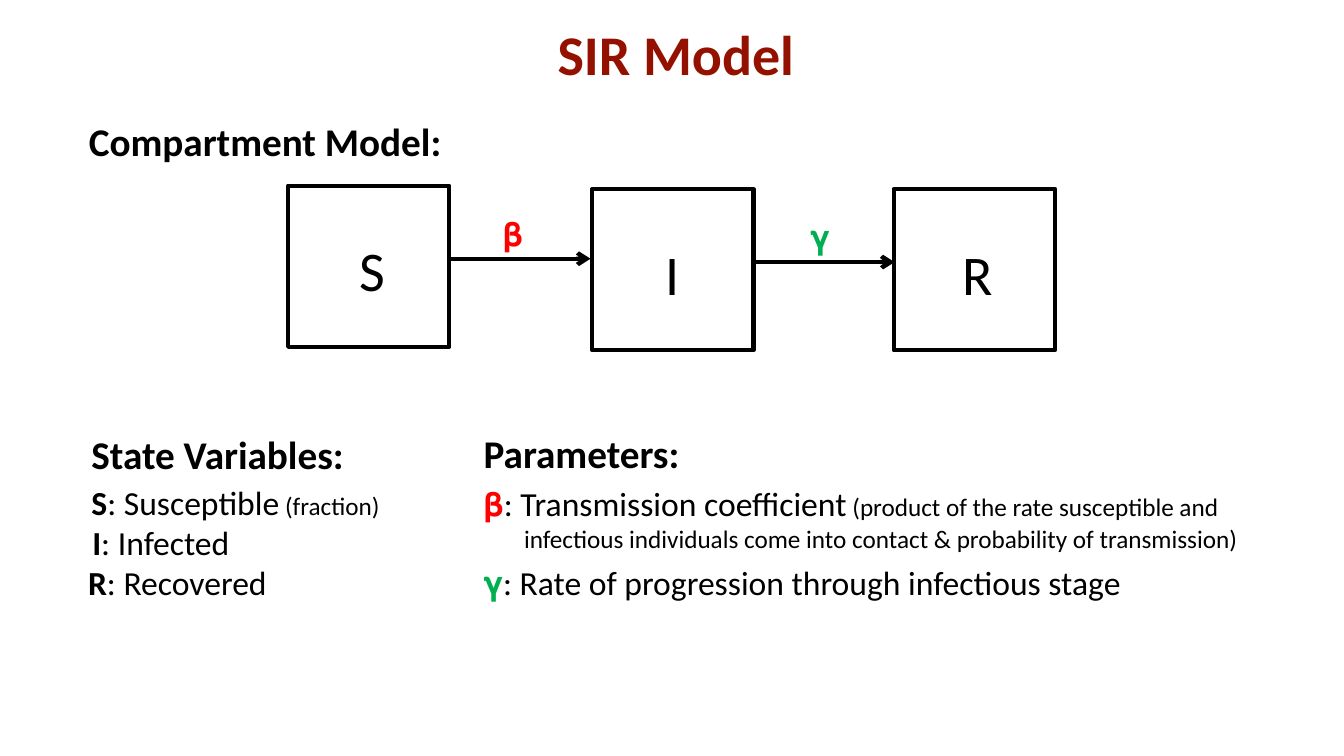
from lxml import etree
from pptx import Presentation
from pptx.dml.color import RGBColor
from pptx.enum.shapes import MSO_CONNECTOR as CONN, MSO_SHAPE as SHAPE
from pptx.enum.text import PP_ALIGN as ALIGN
from pptx.oxml.ns import qn
from pptx.util import Inches, Pt

W, H = Inches(13.33), Inches(7.5)
COLS, ROWS = 160, 90
FONT = "Calibri"
BLACK = RGBColor(0x00, 0x00, 0x00)
WHITE = RGBColor(0xFF, 0xFF, 0xFF)
MAROON = RGBColor(0x94, 0x11, 0x00)
RED = RGBColor(0xFF, 0x00, 0x00)
GREEN = RGBColor(0x00, 0xB0, 0x50)
SIDE = 19.2
ARROW = 16.8


def grid(x, y, w, h):
    """Convert grid columns and rows to slide lengths."""
    return round(x * W / COLS), round(y * H / ROWS), round(w * W / COLS), round(h * H / ROWS)


def add_run(p, text, size=24, color=BLACK, bold=False):
    """Append one formatted run to a paragraph."""
    r = p.add_run()
    r.text = text
    r.font.name, r.font.size, r.font.bold = FONT, Pt(size), bold
    r.font.color.rgb = color


def add_text(s, text, x, y, w, h=6, align=ALIGN.LEFT, **fmt):
    """Add a text box holding one formatted run, if any, and return its frame."""
    tf = s.shapes.add_textbox(*grid(x, y, w, h)).text_frame
    tf.word_wrap = True
    tf.paragraphs[0].alignment = align
    if text:
        add_run(tf.paragraphs[0], text, **fmt)
    return tf


def add_definition(s, symbol, meaning, x, y, w, color=BLACK, bold=False, note=""):
    """Add a symbol with its meaning and an optional small note."""
    tf = add_text(s, symbol, x, y, w, color=color, bold=bold)
    add_run(tf.paragraphs[0], ": " + meaning)
    if note:
        add_run(tf.paragraphs[0], " " + note, size=18)
    return tf


def add_arrow(s, x, y):
    """Draw a horizontal flow arrow."""
    left, top, length, _ = grid(x, y, ARROW, 0)
    c = s.shapes.add_connector(CONN.STRAIGHT, left, top, left + length, top)
    c.line.color.rgb, c.line.width = BLACK, Pt(3)
    etree.SubElement(c.line._get_or_add_ln(), qn("a:tailEnd"), type="arrow")
    etree.SubElement(c._element.spPr, qn("a:effectLst"))


def add_compartments(s, x, y):
    """Draw the chain of compartments and the flows between them."""
    stages = [("S", 0, 0, 7.3, "𝛃", RED, 5.2),
              ("I", 36.2, 0.4, 7.6, "𝛄", GREEN, 5.6),
              ("R", 72.1, 0.4, 7, "", BLACK, 0)]
    for letter, dx, dy, inset, rate, color, rate_inset in stages:
        left, top = x + dx, y + dy
        sp = s.shapes.add_shape(SHAPE.RECTANGLE, *grid(left, top, SIDE, SIDE))
        sp.shadow.inherit = False
        sp.fill.solid()
        sp.fill.fore_color.rgb = WHITE
        sp.line.color.rgb, sp.line.width = BLACK, Pt(3)
        add_text(s, letter, left + inset, top + 5.4, 5.3, 9, size=40)
        if rate:
            add_arrow(s, left + SIDE, top + 8.7)
            add_text(s, rate, left + SIDE + rate_inset, top + 2.6, 5, color=color)


def add_variables(s, x, y, w):
    """List the state variables under their heading."""
    add_text(s, "State Variables:", x, y, w, size=28, bold=True)
    rows = [("S", "Susceptible", "(fraction)", 0, 6.2),
            ("I", "Infected", "", 0.1, 11),
            ("R", "Recovered", "", -0.4, 15.7)]
    for symbol, meaning, note, dx, dy in rows:
        add_definition(s, symbol, meaning, x + dx, y + dy, w, bold=True, note=note)


def add_parameters(s, x, y, w):
    """List the parameters under their heading."""
    add_text(s, "Parameters:", x, y, w, size=28, bold=True)
    tf = add_definition(s, "𝛃", "Transmission coefficient", x, y + 6.4, w, RED,
                        note="(product of the rate susceptible and")
    p = tf.add_paragraph()
    p._p.get_or_add_pPr().set("marL", str(Inches(0.4)))
    add_run(p, "infectious individuals come into contact & probability of transmission)", size=18)
    add_definition(s, "𝛄", "Rate of progression through infectious stage", x, y + 15.8, w, GREEN)


def main():
    """Build and save the slide."""
    prs = Presentation()
    prs.slide_width, prs.slide_height = W, H
    s = prs.slides.add_slide(prs.slide_layouts[6])
    add_text(s, "SIR Model", 1.8, 1.7, 157.3, 9.2, ALIGN.CENTER, size=40, color=MAROON, bold=True)
    add_text(s, "Compartment Model:", 9.4, 13.4, 65.4, 6.8, size=28, bold=True)
    add_compartments(s, 34.3, 22.1)
    add_variables(s, 9.7, 50.6, 44.5)
    add_parameters(s, 56.4, 50.5, 96)
    prs.save("out.pptx")


if __name__ == "__main__":
    main()
